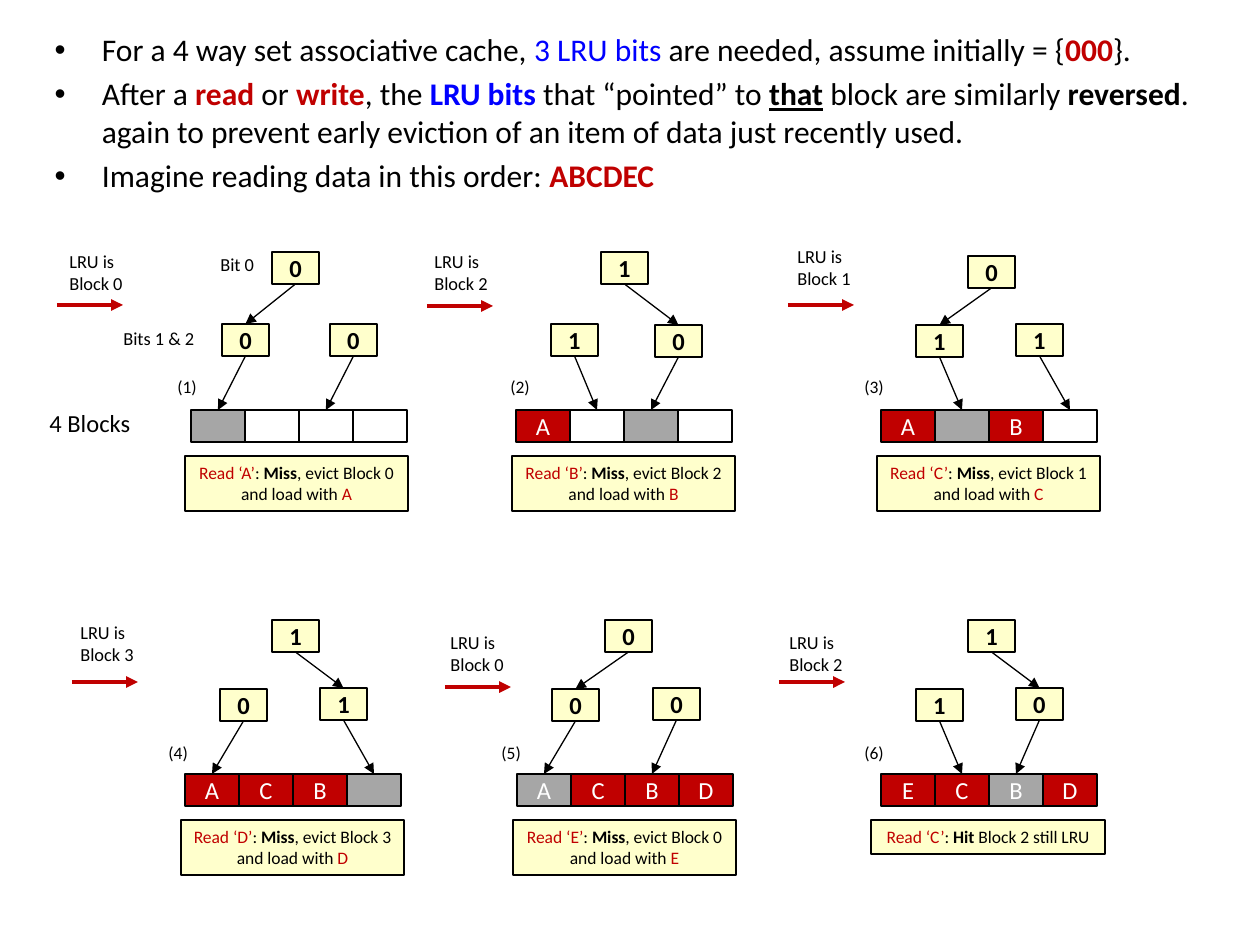
from lxml import etree
from pptx import Presentation
from pptx.dml.color import RGBColor
from pptx.enum.shapes import MSO_CONNECTOR, MSO_SHAPE
from pptx.enum.text import MSO_ANCHOR, MSO_AUTO_SIZE, PP_ALIGN
from pptx.oxml.ns import qn
from pptx.util import Emu, Pt

RECT, STRAIGHT = MSO_SHAPE.RECTANGLE, MSO_CONNECTOR.STRAIGHT
LEFT, CENTER = PP_ALIGN.LEFT, PP_ALIGN.CENTER
TOP, MIDDLE = MSO_ANCHOR.TOP, MSO_ANCHOR.MIDDLE
NO_FIT = MSO_AUTO_SIZE.NONE

COLORS = {"black": "000000", "white": "FFFFFF", "red": "C00000",
          "blue": "0000FF", "cream": "FFFFCC", "gray": "A6A6A6"}

# Content: a run is (text, color, extra font values)
BOLD = {"bold": True}
BULLETS = [
    [("For a 4 way set associative cache, ",), ("3 LRU bits ", "blue"),
     ("are needed, assume initially = {",), ("000", "red", BOLD), ("}.",)],
    [("After a ",), ("read", "red", BOLD), (" or ",), ("write", "red", BOLD),
     (", the ",), ("LRU bits ", "blue", BOLD), ("that “pointed” to ",),
     ("that", "black", {"bold": True, "underline": True}),
     (" block are similarly ",), ("reversed", "black", BOLD),
     (". again to prevent early eviction of an item of data just recently used.",)],
    [("Imagine reading data in this order: ",), ("ABCDEC", "red", BOLD)],
]

# Places are px; bits are root, left, right, and the bits point at the LRU block
STEPS = [
    {"bits": "000", "at": [(272, 252), (222, 324), (330, 324)], "cells": "    ",
     "row": (191, 410), "num": (165, 370), "lru": 0, "lru_at": (57, 244),
     "arrow": (57, 305), "read": "A", "note": (185, 456)},
    {"bits": "110", "at": [(601, 252), (551, 324), (655, 325)], "cells": "A   ",
     "row": (516, 410), "num": (498, 370), "lru": 2, "lru_at": (422, 244),
     "arrow": (427, 306), "read": "B", "note": (512, 456)},
    {"bits": "011", "at": [(968, 256), (916, 325), (1016, 324)], "cells": "A B ",
     "row": (881, 410), "num": (852, 370), "lru": 1, "lru_at": (785, 239),
     "arrow": (788, 305), "read": "C", "note": (877, 456)},
    {"bits": "101", "at": [(272, 620), (220, 689), (320, 688)], "cells": "ACB ",
     "row": (185, 774), "num": (156, 736), "lru": 3, "lru_at": (68, 615),
     "arrow": (72, 682), "read": "D", "note": (181, 820)},
    {"bits": "000", "at": [(605, 620), (552, 689), (653, 688)], "cells": "ACBD",
     "row": (517, 774), "num": (489, 736), "lru": 0, "lru_at": (438, 625),
     "arrow": (445, 687), "read": "E", "note": (513, 820)},
    {"bits": "110", "at": [(968, 620), (916, 689), (1016, 688)], "cells": "ECBD",
     "row": (881, 774), "num": (852, 736), "lru": 2, "lru_at": (777, 625),
     "arrow": (779, 682), "read": "C", "note": (871, 820)},
]

SIDE_LABELS = [("4 Blocks", (37, 402, 107, 43), 14),
               ("Bit 0", (208, 247, 59, 35), 10.5),
               ("Bits 1 & 2", (111, 321, 97, 35), 10.5)]

BIT_W, CELL_W, BOX_H = 47, 54, 32
ARROW_LEN = 66


def px(n):
    return Emu(round(n * 914400 / 126))


def rgb(name):
    return RGBColor.from_string(COLORS[name])


def add_runs(p, runs, size):
    for text, color, extra in ((*r, "black", {})[:3] if len(r) == 1 else
                               (*r, {})[:3] for r in runs):
        if text == "\n":
            p.add_line_break()
            continue
        r = p.add_run()
        r.text = text
        font = {"name": "Calibri", "size": Pt(size), "bold": False, **extra}
        for key, value in font.items():
            setattr(r.font, key, value)
        r.font.color.rgb = rgb(color)


def write(sp, runs, size, align=LEFT, anchor=TOP, wrap=True):
    tf = sp.text_frame
    for key, value in {"word_wrap": wrap, "vertical_anchor": anchor}.items():
        setattr(tf, key, value)
    p = tf.paragraphs[0]
    p.alignment = align
    add_runs(p, runs, size)


def label(box, runs, size, wrap=True):
    write(slide.shapes.add_textbox(*map(px, box)), runs, size, wrap=wrap)


def rect(shapes, box, fill=None):
    sp = shapes.add_shape(RECT, *map(px, box))
    sp.shadow.inherit = False
    if fill:
        sp.fill.solid()
        sp.fill.fore_color.rgb = rgb(fill)
    else:
        sp.fill.background()
    sp.line.color.rgb = rgb("black")
    sp.line.width = Pt(0.75)
    return sp


def arrow(start, end, color="black", width=0.75):
    cn = slide.shapes.add_connector(STRAIGHT, *map(px, (*start, *end)))
    cn.line.color.rgb = rgb(color)
    cn.line.width = Pt(width)
    etree.SubElement(cn.line._get_or_add_ln(), qn("a:tailEnd"), type="triangle")
    etree.SubElement(cn._element.spPr, qn("a:effectLst"))


def draw_step(n, step):
    # Tree of LRU bits
    for bit, (x, y) in zip(step["bits"], step["at"]):
        sp = rect(slide.shapes, (x, y, BIT_W, BOX_H), "cream")
        write(sp, [(bit, "black", BOLD)], 14, CENTER, MIDDLE)

    # Row of four blocks
    row_x, row_y = step["row"]
    group = slide.shapes.add_group_shape()
    for i, name in enumerate(step["cells"]):
        fill = "gray" if i == step["lru"] else "red" if name.strip() else None
        sp = rect(group.shapes, (row_x + i * CELL_W, row_y, CELL_W, BOX_H), fill)
        if name.strip():
            write(sp, [(name, "white")], 14, CENTER, MIDDLE)

    # Each bit points left for 0 and right for 1
    root, left, right = map(int, step["bits"])
    tops = [(x + BIT_W / 2, y) for x, y in step["at"]]
    feet = [(x, y + BOX_H) for x, y in tops]
    arrow(feet[0], tops[1 + root])
    for foot, i in ((feet[1], left), (feet[2], 2 + right)):
        arrow(foot, (row_x + (i + 0.5) * CELL_W, row_y))

    # Step number, LRU label and its red arrow
    label((*step["num"], 45, 35), [(f"({n})",)], 10)
    label((*step["lru_at"], 131, 57),
          [("LRU is ",), ("\n",), (f"Block {step['lru']}",)], 10.5)
    x, y = step["arrow"]
    arrow((x, y), (x + ARROW_LEN, y), "red", 2.25)

    # Outcome note
    read = step["read"]
    runs = [(f"Read ‘{read}’", "red"), (": ",)]
    if read in step["cells"]:
        size = (234, 34)
        runs += [("Hit ", "black", BOLD), (f"Block {step['lru']} still LRU",)]
    else:
        size = (223, 55)
        runs += [("Miss", "black", BOLD),
                 (f", evict Block {step['lru']} and load with ",), (read, "red")]
    write(rect(slide.shapes, (*step["note"], *size), "cream"), runs, 10, CENTER)


prs = Presentation()
prs.slide_width, prs.slide_height = px(1260), px(945)
slide = prs.slides.add_slide(prs.slide_layouts[1])
title = slide.shapes.title._element
title.getparent().remove(title)

# Bullets
body = slide.placeholders[1]
body.left, body.top, body.width, body.height = map(px, (42, 24, 1188, 190))
tf = body.text_frame
tf.auto_size = NO_FIT
for i, runs in enumerate(BULLETS):
    add_runs(tf.add_paragraph() if i else tf.paragraphs[0], runs, 18)

# Labels beside the first tree
for text, box, size in SIDE_LABELS:
    label(box, [(text,)], size, wrap=False)

# Six cache steps
for n, step in enumerate(STEPS, 1):
    draw_step(n, step)

prs.save("out.pptx")
